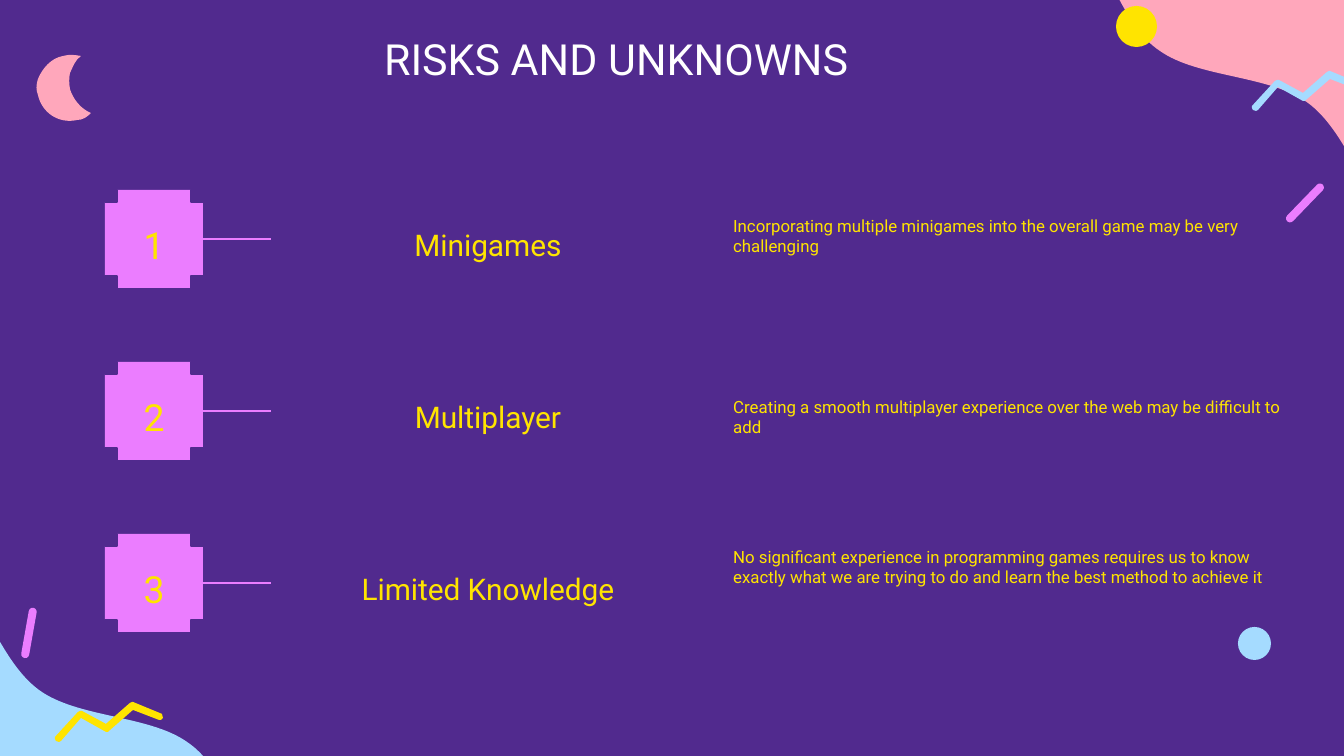
from lxml.etree import SubElement
from pptx import Presentation
from pptx.dml.color import RGBColor
from pptx.enum.shapes import MSO_CONNECTOR, MSO_SHAPE
from pptx.enum.text import MSO_ANCHOR, MSO_AUTO_SIZE, PP_ALIGN
from pptx.oxml.ns import qn
from pptx.util import Emu, Pt

PURPLE, PINK, BLUE = "512A8E", "FFA7BB", "A5DBFF"
YELLOW, MAGENTA, WHITE = "FFE400", "EB7DFF", "FFFFFF"
ROW_GAP = 172
BADGE = 98
CORNER = 12

BLOB = [(1438, 222), (1434, 280), (1407, 234), (1386, 214),
        (1364, 194), (1345, 130), (1308, 103), (1270, 75), (1198, 78), (1160, 51),
        (1122, 26), (1113, -31), (1082, -54), (1051, -77), (996, -75), (976, -87),
        (957, -99), (892, -121), (965, -129), (1039, -137), (1337, -192), (1417, -133),
        (1497, -75), (1443, 164), (1438, 222)]
MOON = [(38, 79), (42, 69), (51, 58), (63, 56), (70, 54), (75, 55), (81, 56),
        (75, 60), (73, 67), (70, 73), (69, 78), (69, 83), (70, 89),
        (73, 99), (81, 109), (91, 113), (87, 117), (83, 120), (77, 120),
        (59, 124), (42, 113), (38, 95), (36, 90), (36, 85), (38, 79)]
ZIGZAG = [(132, 702), (130, 703), (106, 724), (82, 711), (80, 711), (78, 712),
          (55, 737), (55, 739), (56, 741), (59, 742), (61, 741), (81, 718),
          (106, 732), (108, 732), (109, 731), (133, 710), (159, 720), (161, 720),
          (163, 718), (162, 714), (133, 702)]
RISKS = [
    ("Minigames",
     "Incorporating multiple minigames into the overall game may be very challenging",
     (720, 202, 558, 89), MSO_ANCHOR.TOP),
    ("Multiplayer",
     "Creating a smooth multiplayer experience over the web may be difficult to add",
     (720, 372, 598, 89), MSO_ANCHOR.MIDDLE),
    ("Limited Knowledge",
     "No significant experience in programming games requires us to know exactly "
     "what we are trying to do and learn the best method to achieve it",
     (720, 533, 595, 129), MSO_ANCHOR.TOP),
]


def px(n):
    """Turn px into EMU."""
    return Emu(round(n * 914400 / 134.4))


def color(value):
    """Turn a hex string into a colour."""
    return RGBColor.from_string(value)


def paint(sp, fill, line=None):
    """Give a shape a plain fill and an optional thin line."""
    sp.shadow.inherit = False
    sp.fill.solid()
    sp.fill.fore_color.rgb = color(fill)
    if line:
        sp.line.color.rgb = color(line)
        sp.line.width = Pt(0.75)
    else:
        sp.line.fill.background()


def add_shape(shapes, kind, box, fill, line=None, rotation=0):
    """Add a preset shape in a box of left, top, width and height."""
    sp = shapes.add_shape(kind, *map(px, box))
    paint(sp, fill, line)
    sp.rotation = rotation
    return sp


def add_outline(s, points, fill):
    """Add a closed filled outline through the points."""
    start, *rest = [(px(x), px(y)) for x, y in points]
    builder = s.shapes.build_freeform(*start, scale=1.0)
    builder.add_line_segments(rest, close=True)
    sp = builder.convert_to_shape()
    paint(sp, fill)
    return sp


def add_curve(s, points, fill):
    """Add an outline whose points after the first form cubic Bezier triples."""
    sp = add_outline(s, points, fill)
    lines = list(sp._element.iter(qn("a:lnTo")))
    for i in range(0, len(points) - 1, 3):
        first, *others = lines[i:i + 3]
        cubic = first.makeelement(qn("a:cubicBezTo"))
        first.addprevious(cubic)
        for line in (first, *others):
            cubic.append(line[0])
            line.getparent().remove(line)


def add_stick(s, center_x, center_y, rotation):
    """Add a tilted stick with round ends."""
    width, length = 8, 51
    box = (center_x - width / 2, center_y - length / 2, width, length)
    sp = add_shape(s.shapes, MSO_SHAPE.ROUNDED_RECTANGLE, box, MAGENTA, rotation=rotation)
    sp.adjustments[0] = 0.5


def write(sp, text, size, fill=YELLOW, align=PP_ALIGN.CENTER,
          anchor=MSO_ANCHOR.MIDDLE, fit=MSO_AUTO_SIZE.NONE):
    """Write formatted text into a shape."""
    tf = sp.text_frame
    tf.word_wrap = True
    tf.auto_size = fit
    tf.vertical_anchor = anchor
    tf.margin_left = tf.margin_right = tf.margin_top = tf.margin_bottom = Emu(91440)
    p = tf.paragraphs[0]
    p.alignment = align
    r = p.add_run()
    r.text = text
    r.font.name = "Roboto"
    r.font.size = Pt(size)
    r.font.color.rgb = color(fill)


def add_text(s, box, text, size, **format):
    """Add a text box."""
    write(s.shapes.add_textbox(*map(px, box)), text, size, **format)


def add_badge(s, left, top):
    """Add a square with notched corners and return the square."""
    shapes = s.shapes.add_group_shape().shapes
    square = add_shape(shapes, MSO_SHAPE.RECTANGLE, (left, top, BADGE, BADGE), MAGENTA)
    far = BADGE - CORNER
    for dx, dy in ((0, far), (far, far), (0, 0), (far, 0)):
        box = (left + dx, top + dy, CORNER, CORNER)
        add_shape(shapes, MSO_SHAPE.RECTANGLE, box, PURPLE, PURPLE)
    return square


def add_link(s, badge, left, right, y):
    """Add a line that starts at the right side of a badge."""
    line = s.shapes.add_connector(MSO_CONNECTOR.STRAIGHT, px(left), px(y), px(right), px(y))
    line.begin_connect(badge, 3)
    line.line.color.rgb = color(MAGENTA)
    line.line.width = Pt(1.5)
    SubElement(line._element.spPr, qn("a:effectLst"))


def add_decor(s):
    """Add the waves, moon, dots, sticks and zigzags."""
    add_curve(s, BLOB, PINK)
    add_curve(s, [(1347 - x, 793 - y) for x, y in BLOB], BLUE)
    add_curve(s, MOON, PINK)
    add_shape(s.shapes, MSO_SHAPE.OVAL, (1116, 6, 41, 41), YELLOW)
    add_shape(s.shapes, MSO_SHAPE.OVAL, (1238, 627, 33, 33), BLUE)
    add_stick(s, 29, 633, 10)
    add_stick(s, 1305, 203, 44)
    add_outline(s, ZIGZAG, YELLOW)
    add_outline(s, [(x + 1197, y - 631) for x, y in ZIGZAG], BLUE)


def add_risk(s, row, name, detail, box, anchor):
    """Add one numbered risk with its name and detail."""
    top = 190 + row * ROW_GAP
    badge = add_badge(s, 105, top)
    add_link(s, badge, 203, 271, top + BADGE / 2)
    add_text(s, (120, top + 27, 68, 55), str(row + 1), 20)
    add_text(s, (271, top + 27, 434, 55), name, 16)
    add_text(s, box, detail, 9, align=PP_ALIGN.LEFT, anchor=anchor,
             fit=MSO_AUTO_SIZE.SHAPE_TO_FIT_TEXT)


def main():
    """Build the slide and save it."""
    prs = Presentation()
    prs.slide_width, prs.slide_height = px(1344), px(756)
    s = prs.slides.add_slide(prs.slide_layouts[5])
    s.background.fill.solid()
    s.background.fill.fore_color.rgb = color(PURPLE)
    add_decor(s)
    title = s.shapes.title
    title.left, title.top, title.width, title.height = map(px, (50, 16, 1133, 85))
    write(title, "RISKS AND UNKNOWNS", 23, fill=WHITE)
    for row, risk in enumerate(RISKS):
        add_risk(s, row, *risk)
    prs.save("out.pptx")


if __name__ == "__main__":
    main()
